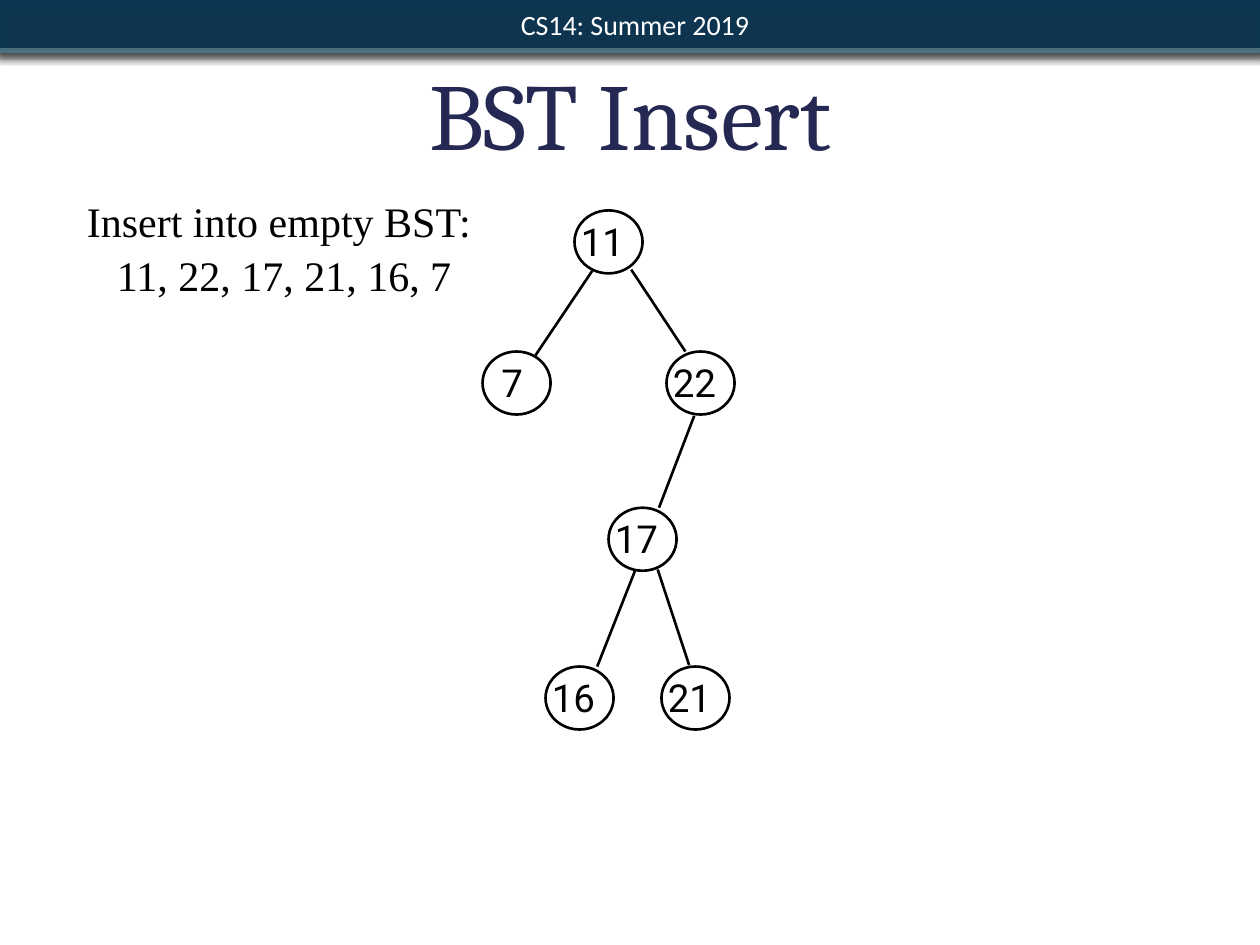
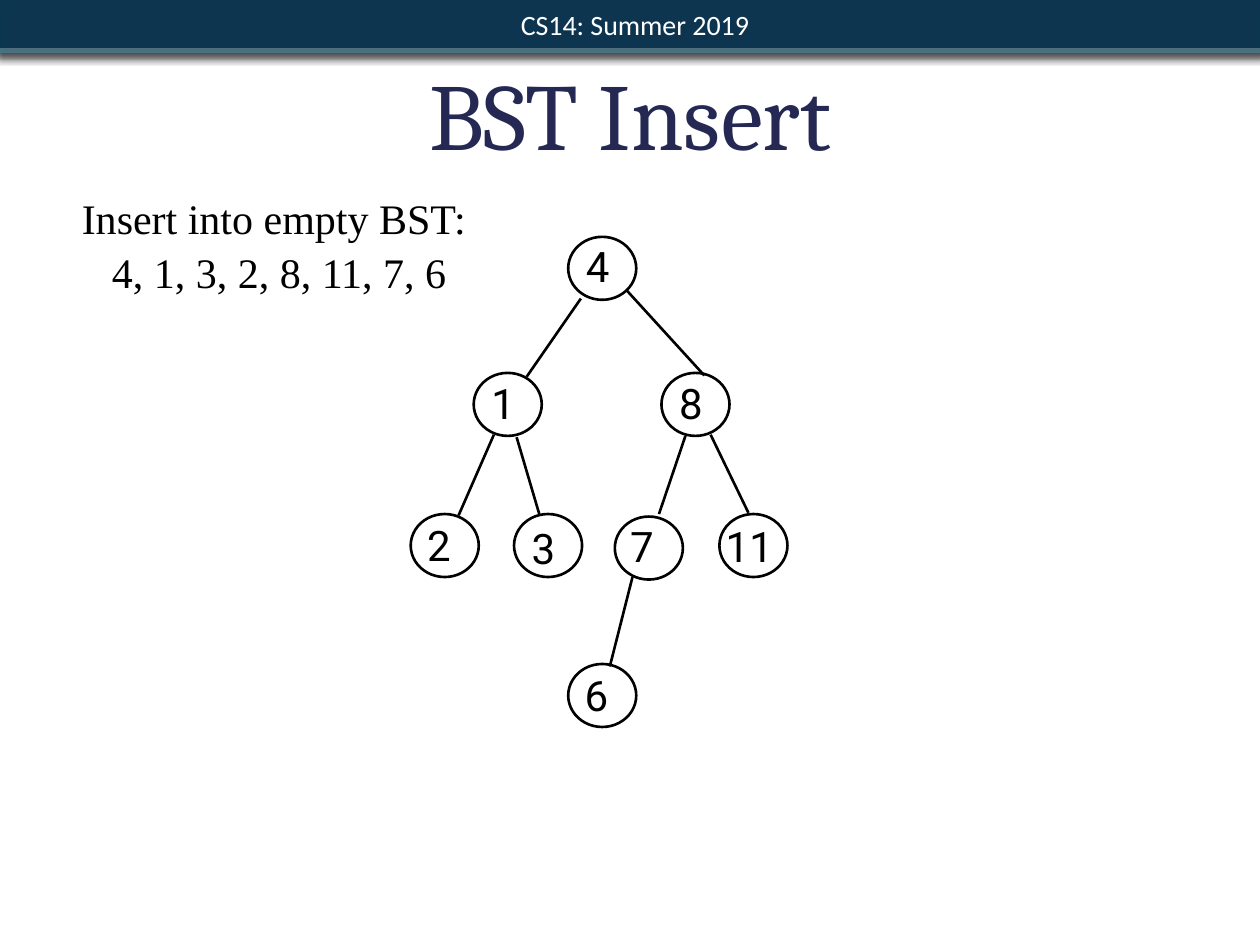
import pptx
import pptx.util
import pptx.dml.color
import pptx.enum.shapes
import pptx.enum.text
import pptx.oxml
import pptx.oxml.ns

PX = 9144  # EMU in one px, 100 px to the inch
RGB = pptx.dml.color.RGBColor
NAVY = RGB(0x06, 0x2F, 0x4B)
TEAL = RGB(0x42, 0x7A, 0x92)
INDIGO = RGB(0x24, 0x28, 0x52)
GREY = RGB(0x5E, 0x5E, 0x5E)
BLACK = RGB(0, 0, 0)
WHITE = RGB(255, 255, 255)

SHAPE = pptx.enum.shapes.MSO_SHAPE
ALIGN = pptx.enum.text.PP_ALIGN
ANCHOR = pptx.enum.text.MSO_ANCHOR
DISC = (54, 50)  # width and height of a tree node

# Each node: value -> (x, y, label dx, label dy); each edge: x1, y1, x2, y2
FIRST = {
    "origin": (383, 167), "size": 22,
    "nodes": {11: (73, 0, 0, 0), 7: (0, 112, 10, 0), 22: (146, 112, 0, 0),
              17: (100, 236, 0, 0), 16: (50, 362, 0, 0), 21: (142, 362, 0, 0)},
    "edges": [(118, 47, 161, 112), (87, 48, 42, 115), (168, 163, 140, 236),
              (139, 285, 164, 361), (121, 286, 91, 362)],
}
SECOND = {
    "origin": (326, 188), "size": 24,
    "nodes": {4: (125, 0, 9, -2), 1: (50, 108, 9, -1), 8: (199, 108, 9, -1),
              2: (0, 220, 8, -1), 3: (82, 220, 9, 2), 7: (162, 222, 7, -2),
              11: (245, 220, 0, 0), 6: (125, 339, 8, -1)},
    "edges": [(171, 42, 233, 110), (135, 49, 92, 111), (218, 158, 197, 220),
              (238, 157, 268, 219), (66, 157, 38, 221), (84, 159, 102, 220),
              (176, 270, 158, 341)],
}


def emu(*sizes):
    return [size * PX for size in sizes]


def parse_xml(text):
    return pptx.oxml.parse_xml(
        text.replace(">", f" {pptx.oxml.ns.nsdecls('a')}>", 1))


def write(shape, lines, font, size, color, align=ALIGN.LEFT, anchor=ANCHOR.TOP,
          inset=5, indent=0, before=0, leading=None):
    """Fill a shape with formatted paragraphs."""
    frame = shape.text_frame
    frame.word_wrap = True
    frame.auto_size = pptx.enum.text.MSO_AUTO_SIZE.NONE
    frame.vertical_anchor = anchor
    frame.margin_left = frame.margin_right = inset * PX
    frame.margin_top = frame.margin_bottom = inset * PX
    frame.text = "\n".join(lines)
    for para in frame.paragraphs:
        para.alignment = align
        para.space_before = pptx.util.Pt(before)
        if leading:
            para.line_spacing = pptx.util.Pt(leading)
        props = para._p.get_or_add_pPr()
        props.set("marL", "0")
        props.set("indent", str(indent * PX))
        props.append(parse_xml("<a:buNone></a:buNone>"))
        run = para.runs[0].font
        run.name, run.size, run.color.rgb = font, pptx.util.Pt(size), color


def place(shape, box):
    shape.left, shape.top, shape.width, shape.height = emu(*box)


def strip(slide, box, fill, shade, alpha):
    """Add a borderless bar with a soft shadow below it."""
    bar = slide.shapes.add_shape(SHAPE.RECTANGLE, *emu(*box))
    bar.fill.solid()
    bar.fill.fore_color.rgb = fill
    bar.line.fill.background()
    bar._element.spPr.append(parse_xml(
        '<a:effectLst><a:outerShdw blurRad="63500" dist="25400" dir="5400000" '
        f'rotWithShape="0"><a:srgbClr val="{shade}"><a:alpha val="{alpha}000"/>'
        '</a:srgbClr></a:outerShdw></a:effectLst>'))
    return bar


def header(slide):
    strip(slide, (-4, -6, 1007, 48), TEAL, BLACK, 75)
    bar = strip(slide, (-1, 0, 1003, 38), NAVY, GREY, 50)
    color = bar._element.spPr.find(".//" + pptx.oxml.ns.qn("a:srgbClr"))
    color.append(parse_xml('<a:alpha val="90000"></a:alpha>'))
    write(bar, ["CS14: Summer 2019"], "Calibri", 16, WHITE,
          align=ALIGN.CENTER, anchor=ANCHOR.MIDDLE, inset=6, indent=7)


def edge(slide, ends):
    line = slide.shapes.add_connector(
        pptx.enum.shapes.MSO_CONNECTOR.STRAIGHT, *emu(*ends))
    line.line.color.rgb = BLACK
    line.line.width = pptx.util.Pt(1.5)
    line._element.spPr.append(parse_xml("<a:effectLst></a:effectLst>"))


def node(slide, value, x, y, dx, dy, size):
    label = slide.shapes.add_textbox(*emu(x + dx, y + dy, 62, size + 26))
    write(label, [str(value)], "Roboto", size, BLACK, anchor=ANCHOR.MIDDLE)
    disc = slide.shapes.add_shape(SHAPE.OVAL, *emu(x, y, *DISC))
    disc.shadow.inherit = False
    disc.fill.background()
    disc.line.color.rgb = BLACK
    disc.line.width = pptx.util.Pt(1.5)


def tree(slide, origin, size, nodes, edges):
    """Draw the search tree relative to its top left corner."""
    left, top = origin
    for x1, y1, x2, y2 in edges:
        edge(slide, (left + x1, top + y1, left + x2, top + y2))
    for value, (x, y, dx, dy) in nodes.items():
        node(slide, value, left + x, top + y, dx, dy, size)


def page(deck, keys, box, plan):
    slide = deck.slides.add_slide(deck.slide_layouts[1])
    header(slide)
    # Title
    title, body = slide.placeholders
    place(title, (75, 49, 850, 93))
    write(title, ["BST Insert"], "Cambria", 54, INDIGO,
          align=ALIGN.CENTER, leading=58)
    # Keys to insert
    place(body, box)
    write(body, ["Insert into empty BST: ", keys], "Times New Roman", 24,
          BLACK, align=ALIGN.CENTER, indent=50, before=2)
    tree(slide, **plan)


def main():
    deck = pptx.Presentation()
    deck.slide_width, deck.slide_height = emu(1000, 750)
    page(deck, "11, 22, 17, 21, 16, 7", (9, 150, 383, 84), FIRST)
    page(deck, "4, 1, 3, 2, 8, 11, 7, 6", (5, 148, 383, 84), SECOND)
    deck.save("out.pptx")


if __name__ == "__main__":
    main()
